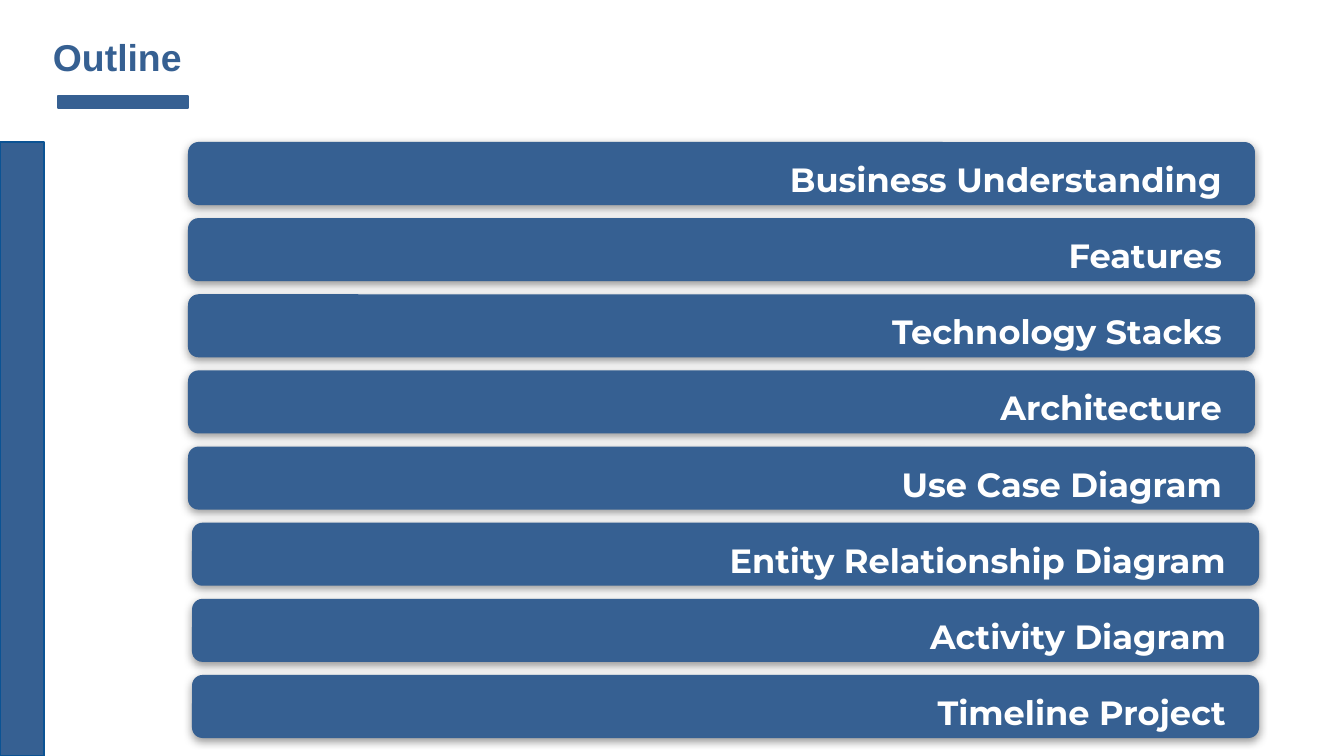
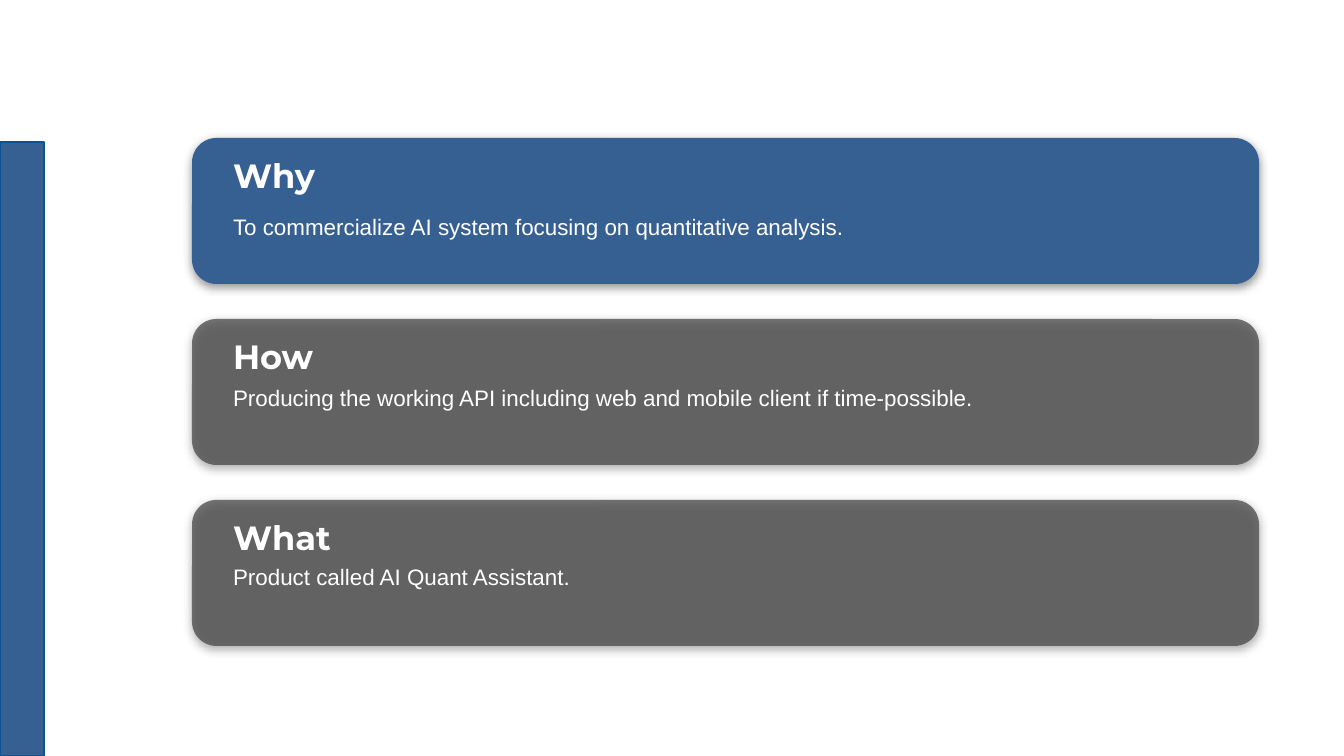
from dataclasses import dataclass
from lxml.etree import SubElement
from pptx import Presentation
from pptx.dml.color import RGBColor as Rgb
from pptx.enum.shapes import MSO_SHAPE as Preset
from pptx.enum.text import MSO_ANCHOR as Anchor, MSO_AUTO_SIZE as Fit, PP_ALIGN as Align
from pptx.oxml.ns import qn
from pptx.util import Pt

TOPICS = [
    "Business Understanding",
    "Features",
    "Technology Stacks",
    "Architecture",
    "Use Case Diagram",
    "Entity Relationship Diagram",
    "Activity Diagram",
    "Timeline Project",
]
GOALS = [
    ("Why", "To commercialize AI system focusing on quantitative analysis.", 58, 1.15),
    ("How", "Producing the working API including web and mobile client if time-possible.", 52, 1.0),
    ("What", "Product called AI Quant Assistant.", 50, 1.0),
]


@dataclass(frozen=True)
class Theme:
    blue: str = "366092"
    edge: str = "0B5394"
    gray: str = "474747"
    white: str = "FFFFFF"
    shadow: str = "000000"
    title_font: str = "Arial"
    heading_font: str = "Montserrat"
    title_size: int = 20
    heading_size: int = 18
    body_size: int = 12
    outline: float = 0.75
    gray_alpha: int = 74
    shadow_alpha: int = 40
    corner: float = 0.167


THEME = Theme()
TITLE = dict(name=THEME.title_font, size=Pt(THEME.title_size), bold=True)
HEADING = dict(name=THEME.heading_font, size=Pt(THEME.heading_size), bold=True)
BODY = dict(name=THEME.title_font, size=Pt(THEME.body_size), bold=False)

SLIDE_W, SLIDE_H = 1344, 756
SIDE_TOP, SIDE_W = 142, 44
PANEL_W, INDENTED_LEFT = 1067, 192
BAR_LEFT, BAR_H, LAST_BAR_TOP, FLUSH_BARS = 188, 63, 675, 5
CARD_TOP, CARD_H, CARD_PITCH = 138, 146, 181
TEXT_SHIFT, HEADING_DROP, HEADING_H = 28, 4, 67
PAD = 13


def px(*lengths):
    return [round(length * 914400 / 134.4) for length in lengths]


def set_all(target, values):
    for key, value in values.items():
        setattr(target, key, value)


def set_alpha(color, percent):
    SubElement(color, qn("a:alpha"), val=str(percent * 1000))


def add_block(shapes, box, fill, line=None, preset=Preset.RECTANGLE):
    block = shapes.add_shape(preset, *px(*box))
    block.shadow.inherit = False
    block.fill.solid()
    block.fill.fore_color.rgb = Rgb.from_string(fill)
    if line:
        block.line.color.rgb = Rgb.from_string(line)
        block.line.width = Pt(THEME.outline)
    else:
        block.line.fill.background()
    return block


def add_panel(shapes, box, fill, alpha=100):
    panel = add_block(shapes, box, fill, preset=Preset.ROUNDED_RECTANGLE)
    panel.adjustments[0] = THEME.corner
    properties = panel.element.spPr
    if alpha < 100:
        set_alpha(properties.find(qn("a:solidFill"))[0], alpha)
    cast = SubElement(
        properties.find(qn("a:effectLst")), qn("a:outerShdw"),
        blurRad=str(Pt(4.5)), dist=str(Pt(1.5)), dir="5400000", algn="bl", rotWithShape="0",
    )
    set_alpha(SubElement(cast, qn("a:srgbClr"), val=THEME.shadow), THEME.shadow_alpha)


def add_text(shapes, box, words, font, color=THEME.white, align=Align.LEFT,
             spacing=1.0, anchor=Anchor.TOP, pad=(PAD, PAD)):
    frame = shapes.add_textbox(*px(*box)).text_frame
    across, down = px(*pad)
    set_all(frame, dict(
        word_wrap=True, auto_size=Fit.NONE, vertical_anchor=anchor,
        margin_left=across, margin_right=across, margin_top=down, margin_bottom=down,
    ))
    paragraph = frame.paragraphs[0]
    set_all(paragraph, dict(alignment=align, line_spacing=spacing))
    run = paragraph.add_run()
    run.text = words
    set_all(run.font, font)
    run.font.color.rgb = Rgb.from_string(color)


def start_slide(deck):
    shapes = deck.slides.add_slide(deck.slide_layouts[6]).shapes
    add_block(shapes, (0, SIDE_TOP, SIDE_W, SLIDE_H - SIDE_TOP), THEME.blue, THEME.edge)
    return shapes


def build_outline(deck):
    shapes = start_slide(deck)
    add_text(shapes, (SIDE_W, 32, 739, 50), "Outline", TITLE, THEME.blue,
             anchor=Anchor.MIDDLE, pad=(9, 5))
    add_block(shapes, (58, 96, 130, 12), THEME.blue, THEME.blue)
    pitch = (LAST_BAR_TOP - SIDE_TOP) / (len(TOPICS) - 1)
    for index, topic in enumerate(TOPICS):
        left = BAR_LEFT if index < FLUSH_BARS else INDENTED_LEFT
        top = SIDE_TOP + index * pitch
        bar = shapes.add_group_shape().shapes
        add_panel(bar, (left, top, PANEL_W, BAR_H), THEME.blue)
        add_text(bar, (left + TEXT_SHIFT, top + HEADING_DROP, 1019, HEADING_H),
                 topic, HEADING, align=Align.RIGHT)


def build_goals(deck):
    shapes = start_slide(deck)
    text_left = INDENTED_LEFT + TEXT_SHIFT
    for index, (question, answer, drop, spacing) in enumerate(GOALS):
        top = CARD_TOP + index * CARD_PITCH
        fill, alpha = (THEME.gray, THEME.gray_alpha) if index else (THEME.blue, 100)
        add_panel(shapes, (INDENTED_LEFT, top, PANEL_W, CARD_H), fill, alpha)
        add_text(shapes, (text_left, top + HEADING_DROP, 524, HEADING_H), question, HEADING)
        add_text(shapes, (text_left, top + drop, 1016, 54), answer, BODY, spacing=spacing)


def main():
    deck = Presentation()
    deck.slide_width, deck.slide_height = px(SLIDE_W, SLIDE_H)
    build_outline(deck)
    build_goals(deck)
    deck.save("out.pptx")


if __name__ == "__main__":
    main()
